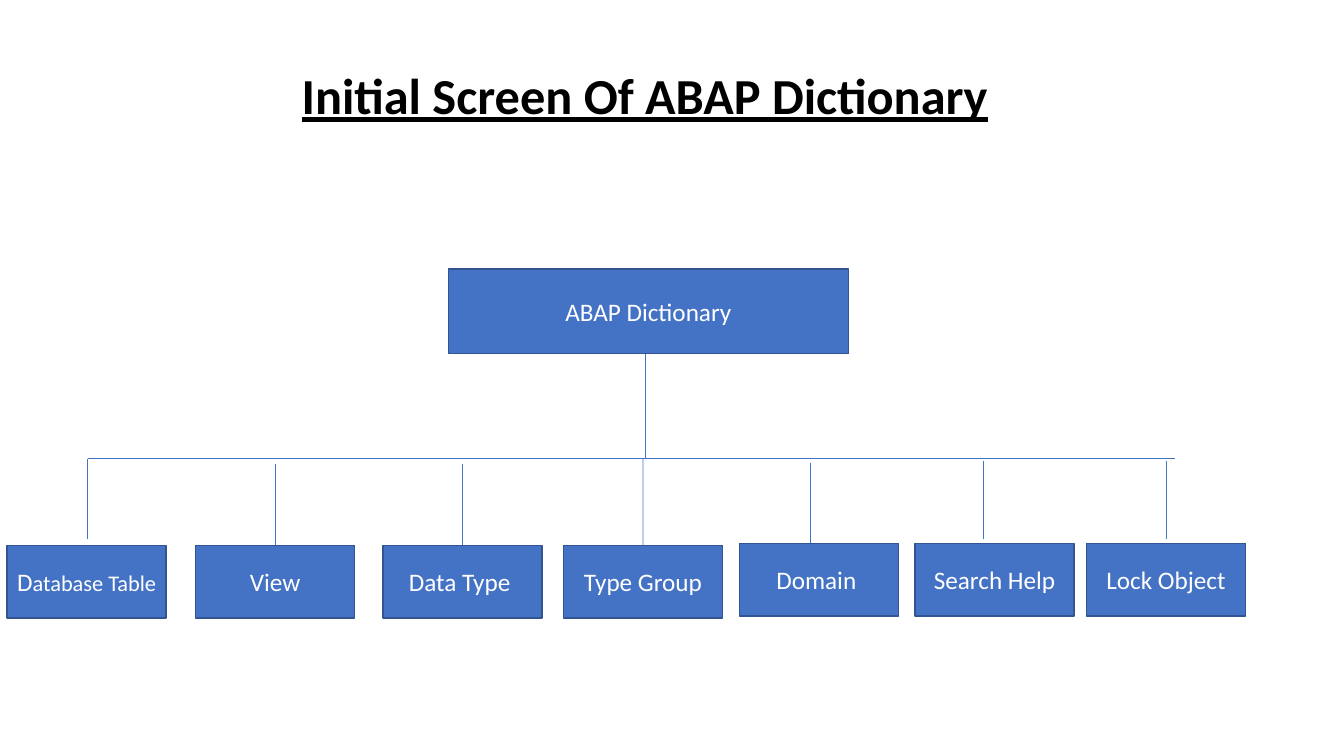
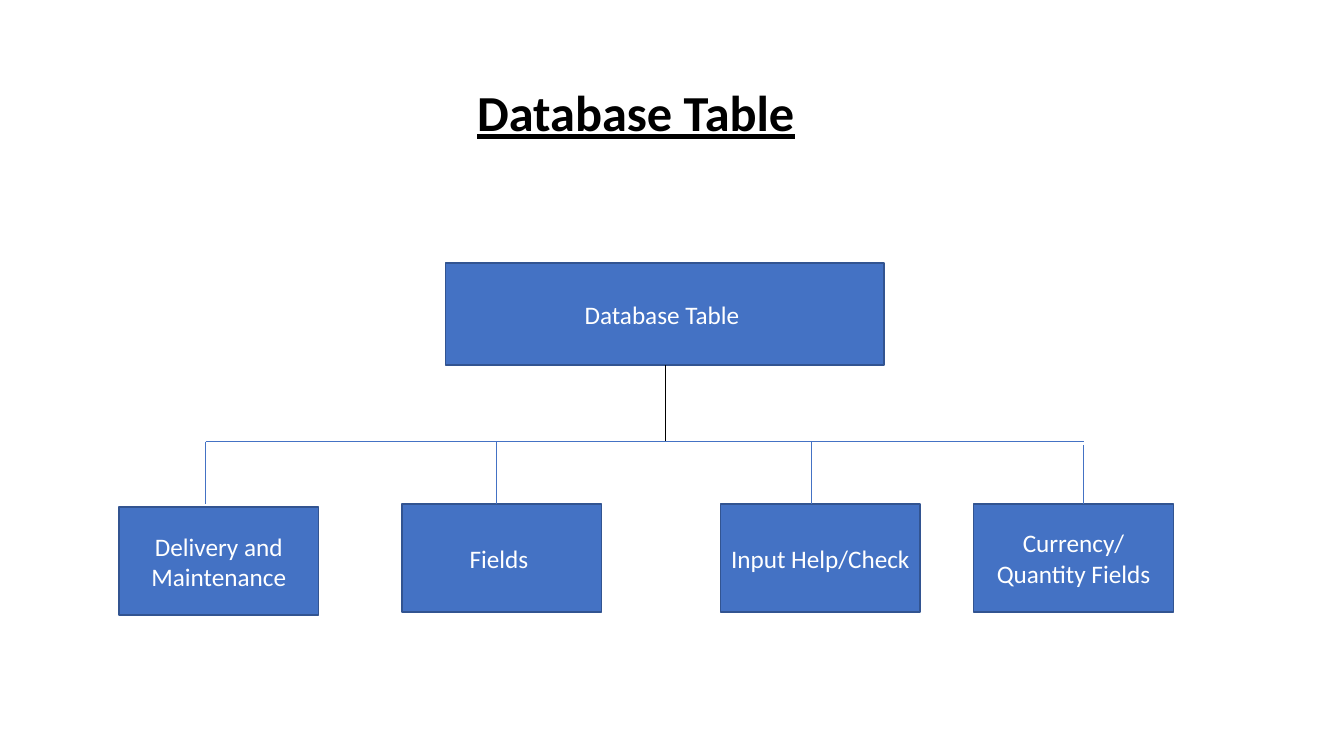
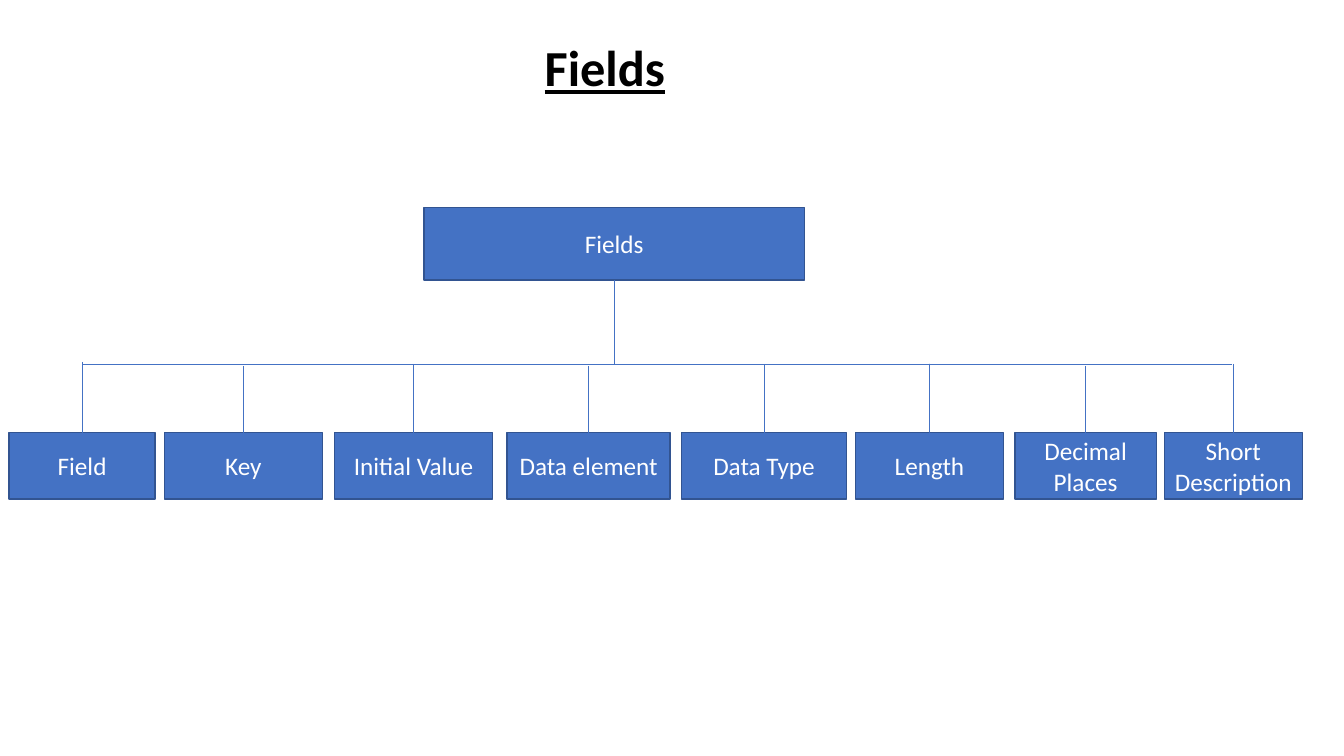
"""Build three hierarchy slides about the ABAP Dictionary."""

from dataclasses import dataclass
from typing import Optional

from lxml.etree import SubElement
from pptx import Presentation
from pptx.dml.color import RGBColor
from pptx.enum.shapes import MSO_CONNECTOR, MSO_SHAPE
from pptx.enum.text import MSO_ANCHOR, PP_ALIGN
from pptx.oxml.ns import qn
from pptx.shapes.autoshape import Shape
from pptx.shapes.connector import Connector
from pptx.slide import Slide
from pptx.text.text import _Run
from pptx.util import Cm, Pt


@dataclass(frozen=True)
class Theme:
    font: str = "Calibri"
    box_fill: RGBColor = RGBColor(0x44, 0x72, 0xC4)
    box_border: RGBColor = RGBColor(0x32, 0x54, 0x91)
    box_text: RGBColor = RGBColor(0xFF, 0xFF, 0xFF)
    title_text: RGBColor = RGBColor(0x00, 0x00, 0x00)
    line: RGBColor = RGBColor(0x44, 0x72, 0xC4)
    dark_line: RGBColor = RGBColor(0x00, 0x00, 0x00)
    title_size: float = 36
    box_size: float = 18
    small_size: float = 16
    border_width: float = 1
    line_width: float = 0.5
    title_spacing: float = 0.9


THEME = Theme()
SLIDE_WIDTH, SLIDE_HEIGHT = 33.87, 19.05
TITLE_WIDTH = 29.21
TOP_SIDE, BOTTOM_SIDE = 0, 2


@dataclass(frozen=True)
class Box:
    left: float
    top: float
    width: float
    height: float

    @property
    def middle(self) -> float:
        return self.left + self.width / 2

    @property
    def bottom(self) -> float:
        return self.top + self.height


@dataclass(frozen=True)
class Branch:
    text: str
    left: float
    width: float
    drop: float = 0
    small_tail: str = ""
    stem_gap: float = 0
    stem_x: Optional[float] = None
    stem_end: Optional[float] = None


@dataclass(frozen=True)
class Hierarchy:
    title: str
    title_left: float
    title_top: float
    title_height: float
    root_text: str
    root: Box
    bar_left: float
    bar_right: float
    bar_top: float
    branch_top: float
    branch_height: float
    branches: tuple[Branch, ...]
    trunk_x: Optional[float] = None
    trunk_color: RGBColor = THEME.line


HIERARCHIES = (
    Hierarchy(
        "Initial Screen Of ABAP Dictionary", 1.65, 0.97, 3,
        "ABAP Dictionary", Box(11.3, 6.78, 10.08, 2.13),
        2.21, 29.62, 11.56, 13.69, 1.83,
        (
            Branch("D", 0.18, 4.01, 0.05, "atabase Table", stem_x=2.21, stem_end=13.59),
            Branch("View", 4.93, 4.01, 0.05, stem_gap=0.13),
            Branch("Data Type ", 9.65, 4.01, 0.05, stem_gap=0.13),
            Branch("Type Group", 14.2, 4.01, 0.05),
            Branch("Domain ", 18.64, 4.01, stem_gap=0.1, stem_x=20.42),
            Branch("Search Help", 23.06, 4.01, stem_gap=0.05, stem_x=24.77, stem_end=13.59),
            Branch("Lock Object", 27.38, 4.01, stem_gap=0.05, stem_x=29.39, stem_end=13.59),
        ),
        trunk_x=16.26,
    ),
    Hierarchy(
        "Database Table", 1.42, 1.07, 3.68,
        "Database Table ", Box(11.23, 6.63, 11.05, 2.57),
        5.18, 27.31, 11.13, 12.7, 2.72,
        (
            Branch("Delivery and Maintenance", 3, 5.03, 0.08, stem_x=5.18, stem_end=12.7),
            Branch("Fields ", 10.13, 5.03, stem_x=12.5),
            Branch("Input Help/Check", 18.16, 5.03, stem_x=20.45),
            Branch("Currency/ Quantity Fields", 24.54, 5.03, stem_gap=0.08, stem_x=27.31),
        ),
        trunk_color=THEME.dark_line,
    ),
    Hierarchy(
        "Fields", 0.64, 0.28, 3,
        "Fields", Box(10.69, 5.23, 9.58, 1.83),
        2.08, 31.06, 9.17, 10.9, 1.68,
        (
            Branch("Field", 0.23, 3.68, stem_gap=-0.05),
            Branch("Key", 4.14, 3.99, stem_gap=0.05),
            Branch("Initial Value", 8.43, 3.99),
            Branch("Data element", 12.78, 4.11, stem_gap=0.05),
            Branch("Data Type", 17.17, 4.17),
            Branch("Length", 21.56, 3.73),
            Branch("Decimal Places", 25.58, 3.56, stem_gap=0.05),
            Branch("Short Description", 29.34, 3.48),
        ),
    ),
)


def format_run(run: _Run, size: float, color: RGBColor) -> None:
    """Apply the theme font with a size and colour."""
    run.font.name = THEME.font
    run.font.size = Pt(size)
    run.font.color.rgb = color


def add_title(slide: Slide, hierarchy: Hierarchy) -> None:
    """Add the bold underlined slide title."""
    shape = slide.shapes.add_textbox(
        Cm(hierarchy.title_left), Cm(hierarchy.title_top),
        Cm(TITLE_WIDTH), Cm(hierarchy.title_height),
    )
    text_frame = shape.text_frame
    text_frame.word_wrap = True
    text_frame.vertical_anchor = MSO_ANCHOR.MIDDLE
    text_frame.text = hierarchy.title
    paragraph = text_frame.paragraphs[0]
    paragraph.alignment = PP_ALIGN.CENTER
    paragraph.line_spacing = THEME.title_spacing
    run = paragraph.runs[0]
    format_run(run, THEME.title_size, THEME.title_text)
    run.font.bold = True
    run.font.underline = True


def add_box(slide: Slide, box: Box, text: str, small_tail: str = "") -> Shape:
    """Add a filled rectangle with centred text."""
    shape = slide.shapes.add_shape(
        MSO_SHAPE.RECTANGLE, Cm(box.left), Cm(box.top), Cm(box.width), Cm(box.height)
    )
    shape.shadow.inherit = False
    shape.fill.solid()
    shape.fill.fore_color.rgb = THEME.box_fill
    shape.line.color.rgb = THEME.box_border
    shape.line.width = Pt(THEME.border_width)
    text_frame = shape.text_frame
    text_frame.word_wrap = True
    text_frame.vertical_anchor = MSO_ANCHOR.MIDDLE
    text_frame.text = text
    paragraph = text_frame.paragraphs[0]
    paragraph.alignment = PP_ALIGN.CENTER
    format_run(paragraph.runs[0], THEME.box_size, THEME.box_text)
    if small_tail:
        run = paragraph.add_run()
        run.text = small_tail
        format_run(run, THEME.small_size, THEME.box_text)
    return shape


def add_line(
    slide: Slide, start: tuple[float, float], end: tuple[float, float],
    color: RGBColor = THEME.line,
) -> Connector:
    """Add a thin straight connector without a shadow."""
    connector = slide.shapes.add_connector(
        MSO_CONNECTOR.STRAIGHT, Cm(start[0]), Cm(start[1]), Cm(end[0]), Cm(end[1])
    )
    connector.line.color.rgb = color
    connector.line.width = Pt(THEME.line_width)
    SubElement(connector._element.spPr, qn("a:effectLst"))
    return connector


def add_branch(slide: Slide, hierarchy: Hierarchy, branch: Branch) -> None:
    """Add a lower box and the stem that leads to it."""
    box = Box(
        branch.left, hierarchy.branch_top + branch.drop, branch.width, hierarchy.branch_height
    )
    shape = add_box(slide, box, branch.text, branch.small_tail)
    stem_x = box.middle if branch.stem_x is None else branch.stem_x
    stem_end = box.top if branch.stem_end is None else branch.stem_end
    stem = add_line(slide, (stem_x, hierarchy.bar_top + branch.stem_gap), (stem_x, stem_end))
    if branch.stem_x is None:
        stem.end_connect(shape, TOP_SIDE)


def add_hierarchy(slide: Slide, hierarchy: Hierarchy) -> None:
    """Draw the title, root, bar and branches of one slide."""
    add_title(slide, hierarchy)
    root = hierarchy.root
    root_shape = add_box(slide, root, hierarchy.root_text)
    trunk_x = root.middle if hierarchy.trunk_x is None else hierarchy.trunk_x
    trunk = add_line(
        slide, (trunk_x, root.bottom), (trunk_x, hierarchy.bar_top), hierarchy.trunk_color
    )
    if hierarchy.trunk_x is None:
        trunk.begin_connect(root_shape, BOTTOM_SIDE)
    add_line(
        slide, (hierarchy.bar_left, hierarchy.bar_top), (hierarchy.bar_right, hierarchy.bar_top)
    )
    for branch in hierarchy.branches:
        add_branch(slide, hierarchy, branch)


def main() -> None:
    """Create and save the presentation."""
    presentation = Presentation()
    presentation.slide_width = Cm(SLIDE_WIDTH)
    presentation.slide_height = Cm(SLIDE_HEIGHT)
    blank_layout = presentation.slide_layouts[6]
    for hierarchy in HIERARCHIES:
        add_hierarchy(presentation.slides.add_slide(blank_layout), hierarchy)
    presentation.save("out.pptx")


if __name__ == "__main__":
    main()
